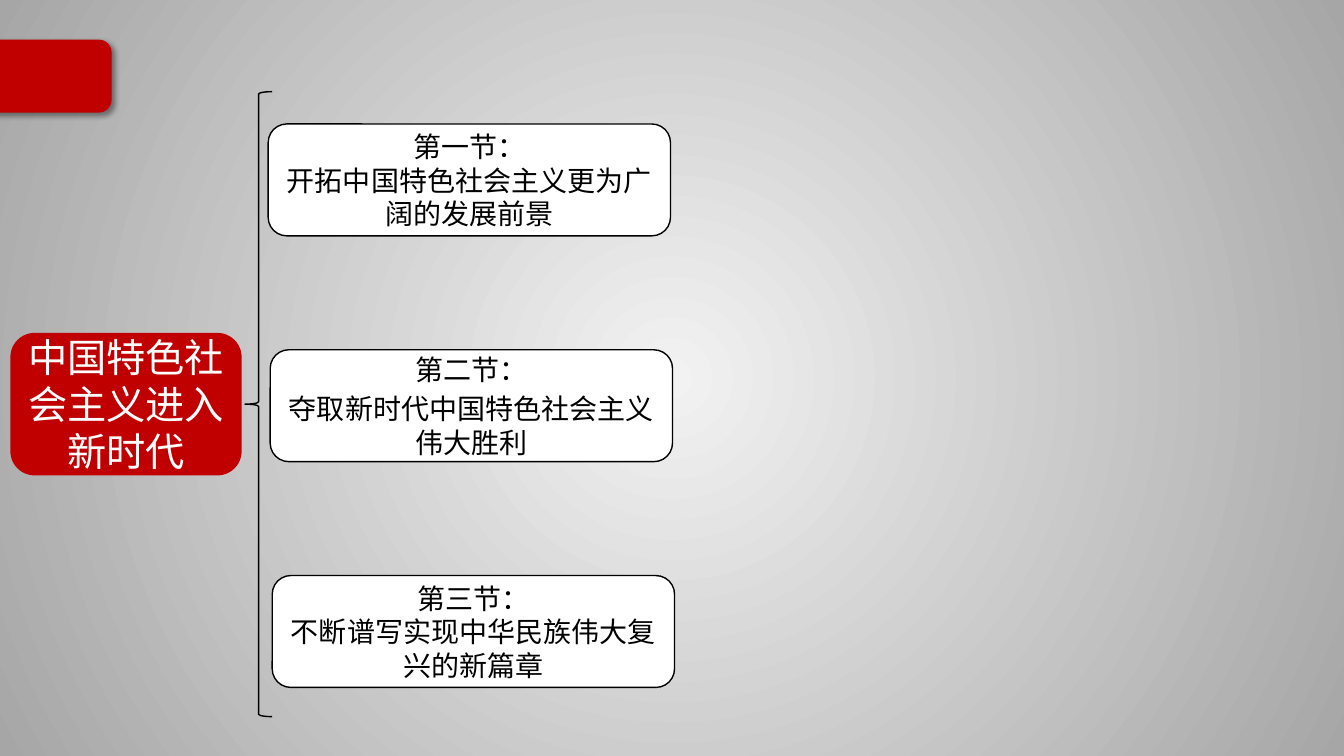
import dataclasses

import lxml.etree
import pptx
import pptx.dml.color
import pptx.enum.shapes
import pptx.enum.text
import pptx.oxml.ns
import pptx.util

qn = pptx.oxml.ns.qn
PRESETS = pptx.enum.shapes.MSO_SHAPE
SLIDE_WIDTH, SLIDE_HEIGHT = 13.33, 7.5


@dataclasses.dataclass(frozen=True)
class Theme:
    red: str = "C00000"
    white: str = "FFFFFF"
    black: str = "000000"
    glow: str = "F2F2F2"
    edge: str = "A6A6A6"
    font: str = "Noto Sans CJK SC"
    chapter_size: int = 28
    section_size: int = 20
    line_width: int = 1


THEME = Theme()
CHAPTER = "中国特色社会主义进入新时代"
SECTIONS = [
    ("第一节：", "开拓中国特色社会主义更为广阔的发展前景", 0),
    ("第二节：", "夺取新时代中国特色社会主义伟大胜利", 4),
    ("第三节：", "不断谱写实现中华民族伟大复兴的新篇章", 0),
]
SECTION_LEFT, SECTION_TOP = 2.66, 1.23
SECTION_INDENT, SECTION_PITCH = 0.02, 2.24


def rgb(colour):
    return pptx.dml.color.RGBColor.from_string(colour)


def paint_background(page):
    """Radial gradient, light in the middle of the slide."""
    fill = page.background.fill
    fill.gradient()
    for stop, colour in zip(fill.gradient_stops, (THEME.glow, THEME.edge)):
        stop.color.rgb = rgb(colour)
    gradient = next(page.element.iter(qn("a:gradFill")))
    gradient.remove(gradient.find(qn("a:lin")))
    circle = lxml.etree.SubElement(gradient, qn("a:path"), path="circle")
    sides = dict.fromkeys("ltrb", "50000")
    lxml.etree.SubElement(circle, qn("a:fillToRect"), sides)


def add_outline(page, preset, left, top, width, height, fill=None, line=THEME.black):
    shape = page.shapes.add_shape(
        preset, *(pptx.util.Inches(length) for length in (left, top, width, height)))
    shape.shadow.inherit = False
    if fill:
        shape.fill.solid()
        shape.fill.fore_color.rgb = rgb(fill)
    else:
        shape.fill.background()
    shape.line.color.rgb = rgb(line)
    shape.line.width = pptx.util.Pt(THEME.line_width)
    return shape


def add_drop_shadow(shape):
    effects = next(shape.element.iter(qn("a:effectLst")))
    shadow = lxml.etree.SubElement(
        effects, qn("a:outerShdw"), blurRad=str(pptx.util.Pt(4)),
        dist=str(pptx.util.Pt(3)), dir=str(45 * 60000), algn="tl", rotWithShape="0")
    colour = lxml.etree.SubElement(shadow, qn("a:srgbClr"), val=THEME.black)
    lxml.etree.SubElement(colour, qn("a:alpha"), val="40000")


def write_lines(box, lines, size, colour, gap=0):
    """Centred paragraphs; gap is the space in points before each later one."""
    frame = box.text_frame
    frame.word_wrap = True
    frame.vertical_anchor = pptx.enum.text.MSO_ANCHOR.MIDDLE
    frame.margin_left = frame.margin_right = pptx.util.Inches(0.05)
    for index, text in enumerate(lines):
        para = frame.add_paragraph() if index else frame.paragraphs[0]
        para.alignment = pptx.enum.text.PP_ALIGN.CENTER
        if index and gap:
            para.space_before = pptx.util.Pt(gap)
        span = para.add_run()
        span.text = text
        span.font.size = pptx.util.Pt(size)
        span.font.color.rgb = rgb(colour)
        span.font.name = THEME.font
        latin = next(para.runs[0].font._element.iter(qn("a:latin")))
        east_asian = latin.makeelement(qn("a:ea"), {"typeface": THEME.font})
        latin.addnext(east_asian)


def add_section(page, row, heading, topic, gap):
    box = add_outline(
        page, PRESETS.ROUNDED_RECTANGLE, SECTION_LEFT + row * SECTION_INDENT,
        SECTION_TOP + row * SECTION_PITCH, 3.99, 1.11, fill=THEME.white)
    write_lines(box, [heading, topic], THEME.section_size, THEME.black, gap)


def main():
    deck = pptx.Presentation()
    deck.slide_width = pptx.util.Inches(SLIDE_WIDTH)
    deck.slide_height = pptx.util.Inches(SLIDE_HEIGHT)
    page = deck.slides.add_slide(deck.slide_layouts.get_by_name("Blank"))
    paint_background(page)

    tab = add_outline(page, PRESETS.ROUNDED_RECTANGLE, -0.18, 0.4, 1.28, 0.71,
                      fill=THEME.red, line=THEME.red)
    add_drop_shadow(tab)
    chapter = add_outline(page, PRESETS.ROUNDED_RECTANGLE, 0.11, 3.31, 2.28, 1.4,
                          fill=THEME.red, line=THEME.red)
    write_lines(chapter, [CHAPTER], THEME.chapter_size, THEME.white)
    add_outline(page, PRESETS.LEFT_BRACE, 2.43, 0.91, 0.27, 6.2)
    for row, (heading, topic, gap) in enumerate(SECTIONS):
        add_section(page, row, heading, topic, gap)

    deck.save("out.pptx")


if __name__ == "__main__":
    main()
